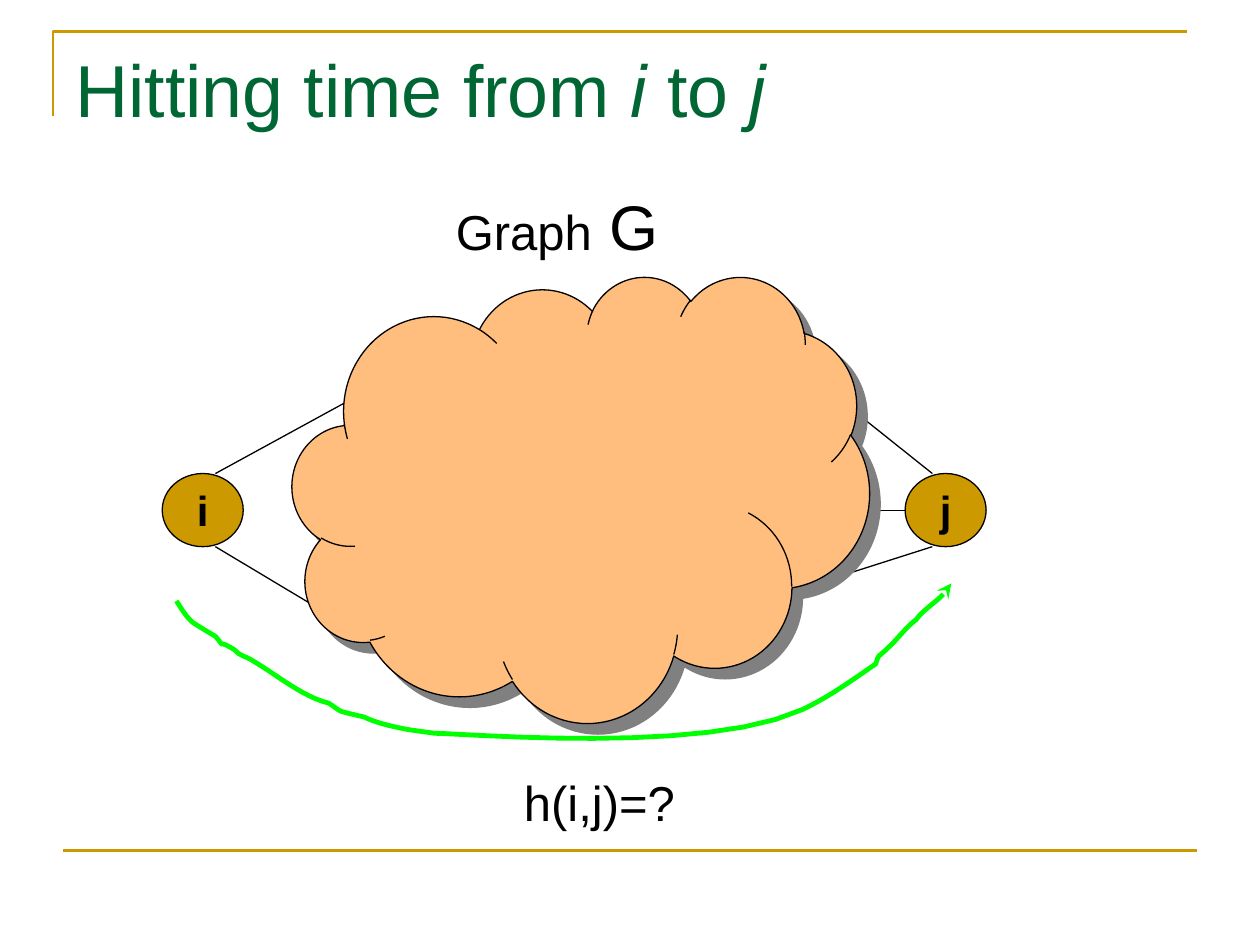
from lxml import etree
from pptx import Presentation
from pptx.dml.color import RGBColor
from pptx.enum.shapes import MSO_CONNECTOR, MSO_SHAPE
from pptx.enum.text import MSO_ANCHOR, PP_ALIGN
from pptx.oxml.ns import qn
from pptx.util import Pt

STRAIGHT = MSO_CONNECTOR.STRAIGHT
ELLIPSE, CLOUD = MSO_SHAPE.OVAL, MSO_SHAPE.CLOUD
LEFT, CENTER = PP_ALIGN.LEFT, PP_ALIGN.CENTER
TOP, MIDDLE = MSO_ANCHOR.TOP, MSO_ANCHOR.MIDDLE

THEME = {
    "font": "Arial",
    "title": "006633", "text": "000000", "gold": "CC9900",
    "cloud": "FFBE7D", "shadow": "808080", "route": "00FF00",
    "title_size": 42, "label_size": 28, "graph_size": 36, "node_size": 24,
    "rule": 1.5, "thin": 0.75, "route_width": 2.75,
}

# Content: text runs are (text, format changes); boxes are left, top, width, height
TITLE = [("Hitting time from ", {}), ("i ", {"italic": True}),
         ("to ", {}), ("j", {"italic": True})]
TITLE_BOX = (36, 21.6, 648, 90)
LABELS = [
    ([("Graph", {}), (" G", {"size": THEME["graph_size"]})],
     (253.44, 103.68, 175.68, 50.4)),
    ([("h(i,j)=?", {})], (292.32, 437.76, 103.68, 41.04)),
]
NODES = [("i", 92.7), ("j", 517.2)]
NODE_TOP, NODE_W, NODE_H = 270.6, 46.3, 41.8
CLOUD_BOX = (167.04, 157.68, 329.76, 254.88)

FRAME_CORNER = [(30.24, 66.24), (30.24, 18), (678.24, 18)]
BOTTOM_RULE = (36, 486, 684, 486)
EDGES = [
    (471.6, 331.9, 532.8, 312.4), (471.6, 221.8, 532.8, 270.6),
    (123.1, 270.6, 212.4, 221.8), (471.6, 291.6, 522, 291.6),
    (123.1, 312.4, 189.4, 352.1),
]

# Route under the cloud: start, then control, control, end of each curve
ROUTE_START = (100.8, 343.4)
ROUTE = [
    ((103.7, 347.8), (106.6, 352.8), (110.2, 355.7)),
    ((114.5, 358.6), (123.1, 363.6), (123.1, 363.6)),
    ((130.3, 372.2), (122.4, 364.3), (133.2, 370.8)),
    ((134.6, 371.5), (135.4, 373), (136.8, 373.7)),
    ((139, 375.1), (141.8, 375.8), (144, 377.3)),
    ((157.7, 385.2), (172.8, 398.2), (187.9, 401.8)),
    ((194.4, 406.1), (193, 406.1), (198.7, 407.5)),
    ((201.6, 408.2), (208.1, 409.7), (208.1, 409.7)),
    ((215.3, 413.3), (225.4, 415.4), (233.3, 416.9)),
    ((238.3, 417.6), (248.4, 419), (248.4, 419)),
    ((265, 419), (403.2, 431.3), (458.6, 405.4)),
    ((473.8, 398.2), (486.7, 388.8), (500.4, 379.4)),
    ((502.6, 373), (500.4, 377.3), (509.8, 367.9)),
    ((514.1, 363.6), (518.4, 357.8), (523.4, 354.2)),
    ((529.2, 346.3), (539.3, 342), (543.6, 333.4)),
]
STEPS = 12


def rgb(name):
    return RGBColor.from_string(THEME[name])


def set_line(s, color, width):
    s.line.color.rgb = rgb(color)
    s.line.width = Pt(width)


def write(s, runs, size, color="text", bold=False, align=LEFT, anchor=TOP, wrap=True):
    tf = s.text_frame
    tf.word_wrap = wrap
    tf.vertical_anchor = anchor
    p = tf.paragraphs[0]
    p.alignment = align
    for text, changes in runs:
        r = p.add_run()
        r.text = text
        r.font.name = THEME["font"]
        r.font.size = Pt(changes.get("size", size))
        r.font.bold = bold
        r.font.italic = changes.get("italic", False)
        r.font.color.rgb = rgb(color)


def add_text(shapes, box, runs, size, **fmt):
    write(shapes.add_textbox(*map(Pt, box)), runs, size, **fmt)


def add_line(shapes, ends, color, width):
    s = shapes.add_connector(STRAIGHT, *map(Pt, ends))
    set_line(s, color, width)
    etree.SubElement(s._element.spPr, qn("a:effectLst"))


def add_filled(shapes, kind, box, fill):
    s = shapes.add_shape(kind, *map(Pt, box))
    s.shadow.inherit = False
    s.fill.solid()
    s.fill.fore_color.rgb = rgb(fill)
    set_line(s, "text", THEME["thin"])
    return s


def add_path(shapes, points, color, width):
    start, *rest = [(Pt(x), Pt(y)) for x, y in points]
    builder = shapes.build_freeform(*start)
    builder.add_line_segments(rest, close=False)
    s = builder.convert_to_shape()
    s.shadow.inherit = False
    s.fill.background()
    set_line(s, color, width)
    return s


def curve_points(start, curves):
    """Sample a chain of cubic curves."""
    points = [start]
    for b, c, d in curves:
        a = points[-1]
        for i in range(1, STEPS + 1):
            t = i / STEPS
            u = 1 - t
            weights = (u ** 3, 3 * u * u * t, 3 * u * t * t, t ** 3)
            points.append(tuple(sum(w * v for w, v in zip(weights, axis))
                                for axis in zip(a, b, c, d)))
    return points


def add_drop_shadow(s, color, distance, degrees):
    effects = s._element.spPr.find(qn("a:effectLst"))
    shadow = etree.SubElement(effects, qn("a:outerShdw"), dist=str(Pt(distance)),
                              dir=str(degrees * 60000), algn="ctr", rotWithShape="0")
    etree.SubElement(shadow, qn("a:srgbClr"), val=THEME[color])


def main():
    prs = Presentation()
    prs.slide_width, prs.slide_height = Pt(720), Pt(540)
    shapes = prs.slides.add_slide(prs.slide_layouts[6]).shapes

    # Frame and title
    add_path(shapes, FRAME_CORNER, "gold", THEME["rule"])
    add_line(shapes, BOTTOM_RULE, "gold", THEME["rule"])
    add_text(shapes, TITLE_BOX, TITLE, THEME["title_size"], color="title")

    # Edges run behind the cloud and the nodes
    for ends in EDGES:
        add_line(shapes, ends, "text", THEME["thin"])
    cloud = add_filled(shapes, CLOUD, CLOUD_BOX, "cloud")
    add_drop_shadow(cloud, "shadow", 8.5, 45)

    # Route from i to j
    route = add_path(shapes, curve_points(ROUTE_START, ROUTE), "route", THEME["route_width"])
    etree.SubElement(route.line._get_or_add_ln(), qn("a:tailEnd"), type="stealth")

    # Nodes and labels
    for name, left in NODES:
        node = add_filled(shapes, ELLIPSE, (left, NODE_TOP, NODE_W, NODE_H), "gold")
        write(node, [(name, {})], THEME["node_size"], bold=True,
              align=CENTER, anchor=MIDDLE, wrap=False)
    for runs, box in LABELS:
        add_text(shapes, box, runs, THEME["label_size"])

    prs.save("out.pptx")


if __name__ == "__main__":
    main()
